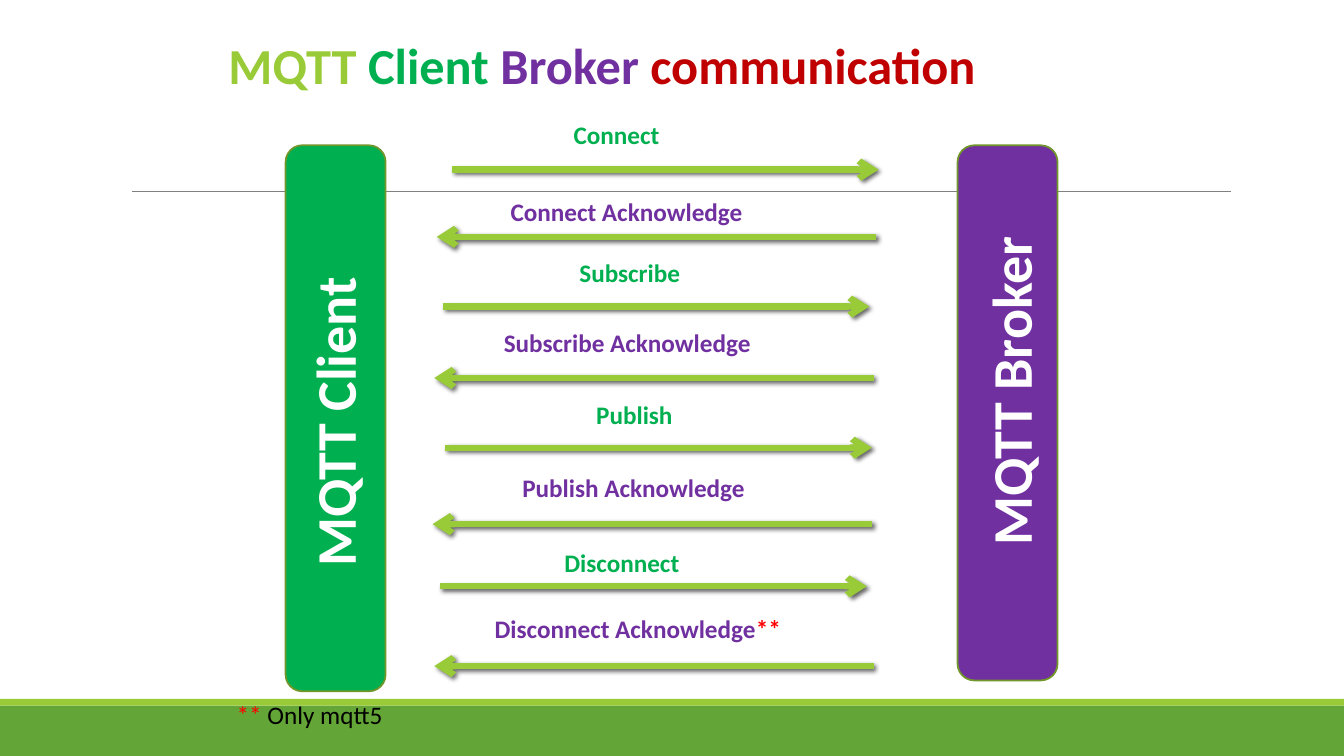
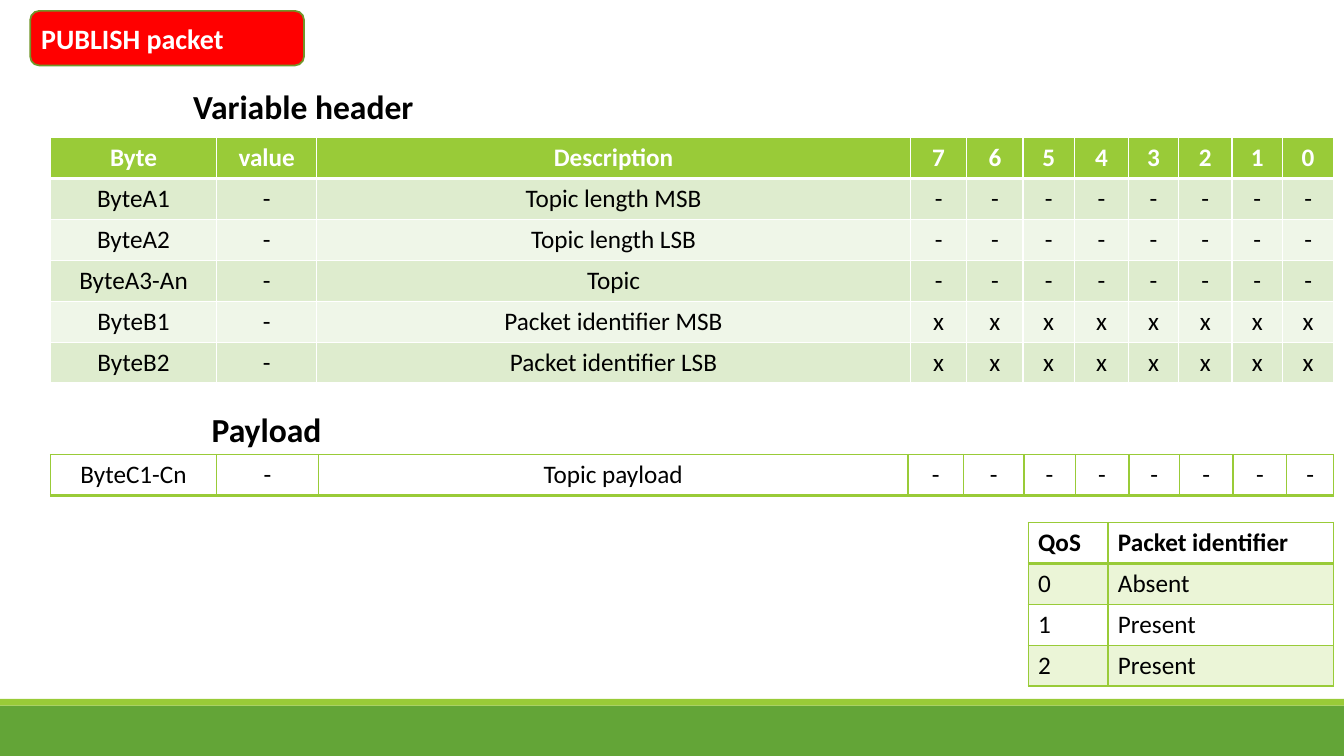
from lxml import etree
from pptx import Presentation
from pptx import util as u
from pptx.dml.color import RGBColor
from pptx.enum import shapes, text
from pptx.oxml import ns, parse_xml

# Grid: the slide is 160 by 90 square cells; all lengths count cells
CELL = u.Inches(1) // 12
LIME, GREEN, OLIVE = "99CB38", "63A537", "719629"
CLIENT, BROKER, RED = "00B050", "7030A0", "FF0000"
WHITE, BLACK = "FFFFFF", "000000"
FONT = "Calibri"
ROUNDED = shapes.MSO_SHAPE.ROUNDED_RECTANGLE
LEFT, CENTER = text.PP_ALIGN.LEFT, text.PP_ALIGN.CENTER


def paint(fill, color):
    fill.solid()
    fill.fore_color.rgb = RGBColor.from_string(color)


def write(box, spans, area=None, size=18, bold=False, align=LEFT):
    """Fill a box, placeholder or table cell with (text, colour) spans."""
    if area:
        box.left, box.top, box.width, box.height = (int(CELL * v) for v in area)
    frame = box.text_frame
    frame.word_wrap = True
    frame.auto_size = text.MSO_AUTO_SIZE.NONE
    frame.vertical_anchor = text.MSO_ANCHOR.TOP
    para = frame.paragraphs[0]
    para.alignment = align
    for words, color in spans:
        span = para.add_run()
        span.text = words
        span.font.name, span.font.size, span.font.bold = FONT, u.Pt(size), bold
        paint(span.font.fill, color)


deck = Presentation()
deck.slide_width, deck.slide_height = 160 * CELL, 90 * CELL
layout = deck.slide_layouts.get_by_name("Title Only")
flow, packet = (deck.slides.add_slide(layout) for _ in range(2))

# Shared footer bands and rule, moved to the layout
decor = []
for top, height, color in [(84, 6, GREEN), (83.2, 0.8, LIME)]:
    band = flow.shapes.add_shape(shapes.MSO_SHAPE.RECTANGLE, 0, int(CELL * top),
                                 deck.slide_width, int(CELL * height))
    band.shadow.inherit = False
    paint(band.fill, color)
    band.line.fill.background()
    decor.append(band)
rule = flow.shapes.add_connector(shapes.MSO_CONNECTOR.STRAIGHT,
                                 *(int(CELL * v) for v in (15.7, 22.8, 146.5, 22.8)))
rule.line.width = u.Pt(0.5)
paint(rule.line.fill, "808080")
etree.SubElement(rule.element.spPr, ns.qn("a:effectLst"))
for item in decor + [rule]:
    layout.shapes.element.append(item.element)

# Rounded panels: client and broker bars, packet tag
for page, area, color in [(flow, (34, 17.3, 11.9, 65), CLIENT),
                          (flow, (114, 17.3, 11.9, 63.7), BROKER),
                          (packet, (3.6, 1.3, 32.6, 6.5), RED)]:
    panel = page.shapes.add_shape(ROUNDED, *(int(CELL * v) for v in area))
    panel.shadow.inherit = False
    paint(panel.fill, color)
    paint(panel.line.fill, OLIVE)
    panel.line.width = u.Pt(1.25)
    page.shapes.title.element.addprevious(panel.element)

# Titles
write(flow.shapes.title, [("MQTT ", LIME), ("Client ", CLIENT), ("Broker ", BROKER),
                          ("communication", "C00000")],
      area=(26, 3.4, 105.2, 8.5), size=36, bold=True)
write(packet.shapes.title, [("PUBLISH packet", WHITE)],
      area=(3.7, 1.9, 32.6, 5.3), size=20, bold=True)

# Messages: label, its left and top, arrow's left end and height
messages = [
    ("Connect", 67.1, 13.6, 53.8, 20.2),
    ("Connect Acknowledge", 59.6, 22.8, 52, 28.2),
    ("Subscribe", 67.8, 30.1, 52.7, 36.5),
    ("Subscribe Acknowledge", 58.8, 38.4, 51.7, 45),
    ("Publish", 69.8, 46.9, 53, 53.3),
    ("Publish Acknowledge", 61, 55.6, 51.5, 62.4),
    ("Disconnect", 66, 64.6, 52.4, 69.8),
    ("Disconnect Acknowledge", 57.7, 72.4, 51.7, 79.3),
]
SHADOW = (f'<a:effectLst {ns.nsdecls("a")}>'
          '<a:outerShdw blurRad="38100" dist="25400" dir="2700000" rotWithShape="0">'
          '<a:srgbClr val="000000"><a:alpha val="60000"/></a:srgbClr>'
          '</a:outerShdw></a:effectLst>')
for number, (label, left, top, start, height) in enumerate(messages):
    reply = number % 2 == 1
    ends = (start + 52.3, start) if reply else (start, start + 50.8)
    arrow = flow.shapes.add_connector(
        shapes.MSO_CONNECTOR.STRAIGHT,
        *(int(CELL * v) for v in (ends[0], height, ends[1], height)))
    arrow.line.width = u.Pt(4.5)
    paint(arrow.line.fill, LIME)
    etree.SubElement(arrow.line._get_or_add_ln(), ns.qn("a:tailEnd"), type="arrow")
    arrow.element.spPr.append(parse_xml(SHADOW))
    spans = [(label, BROKER if reply else CLIENT)]
    if number == len(messages) - 1:
        spans.append(("**", RED))
    write(flow.shapes.add_textbox(0, 0, 0, 0), spans,
          area=(left, top, 43, 4.8), bold=True)

# Bar names, reading upwards
for name, area in [("MQTT Client", (19.4, 43.7, 40.6, 9.2)),
                   ("MQTT Broker", (99, 40.3, 42.4, 9.2))]:
    box = flow.shapes.add_textbox(0, 0, 0, 0)
    write(box, [(name, WHITE)], area=area, size=40, bold=True)
    box.rotation = 270
write(flow.shapes.add_textbox(0, 0, 0, 0), [("** ", RED), ("Only mqtt5", BLACK)],
      area=(27, 82.7, 22.1, 4.8))

# Packet section headings
for heading, area in [("Variable header", (21.8, 9.6, 34.4, 6)),
                      ("Payload", (24, 48.1, 18.6, 6))]:
    write(packet.shapes.add_textbox(0, 0, 0, 0), [(heading, BLACK)],
          area=area, size=24, bold=True)

# Tables: the first row is a header where head_ink is set
header_rows = [["Byte", "value", "Description", *"76543210"]] + [
    [name, "-", meaning, *bit * 8] for name, meaning, bit in [
        ("ByteA1", "Topic length MSB", "-"),
        ("ByteA2", "Topic length LSB", "-"),
        ("ByteA3-An", "Topic", "-"),
        ("ByteB1", "Packet identifier MSB", "x"),
        ("ByteB2", "Packet identifier LSB", "x")]]
tables = [
    dict(origin=(6, 16.4), rows=header_rows, align=CENTER, head_ink=WHITE,
         widths=[19.8, 11.9, 70.7, 6.7, 6.7, 6.1, 6.5, 5.9, 6.4, 6, 6.1],
         fills=[LIME, "DEECCE", "EFF6E8"], border=WHITE, thick=3),
    dict(origin=(6, 54.1), rows=[["ByteC1-Cn", "-", "Topic payload", *"-" * 8]],
         align=CENTER, head_ink=None,
         widths=[19.8, 12.1, 70.2, 6.6, 7.2, 6.1, 6.4, 6, 6.4, 6.4, 5.6],
         fills=[WHITE], border=LIME, thick=2),
    dict(origin=(122.4, 62.2), align=LEFT, head_ink=BLACK, widths=[9.5, 26.9],
         rows=[["QoS", "Packet identifier"], ["0", "Absent"],
               ["1", "Present"], ["2", "Present"]],
         fills=[WHITE, "EBF5D7", WHITE], border=LIME, thick=2),
]
ROW = 4.86
for plan in tables:
    rows, widths = plan["rows"], plan["widths"]
    area = (*plan["origin"], sum(widths), ROW * len(rows))
    grid = packet.shapes.add_table(len(rows), len(widths),
                                   *(int(CELL * v) for v in area)).table
    grid.first_row = grid.horz_banding = False
    for column, width in zip(grid.columns, widths):
        column.width = int(CELL * width)
    for r, row in enumerate(rows):
        is_head = r == 0 and plan["head_ink"] is not None
        for c, words in enumerate(row):
            cell = grid.cell(r, c)
            write(cell, [(words, plan["head_ink"] if is_head else BLACK)],
                  bold=is_head, align=plan["align"])
            # Header first, then two alternating band colours
            paint(cell.fill, plan["fills"][0 if r == 0 else 2 - r % 2])
            sides = {"L": 1, "R": 1, "T": plan["thick"] if r == 1 else 1,
                     "B": plan["thick"] if r == 0 else 1}
            for place, (side, points) in enumerate(sides.items()):
                cell._tc.get_or_add_tcPr().insert(place, parse_xml(
                    f'<a:ln{side} {ns.nsdecls("a")} w="{u.Pt(points)}"><a:solidFill>'
                    f'<a:srgbClr val="{plan["border"]}"/></a:solidFill></a:ln{side}>'))

deck.save("out.pptx")
